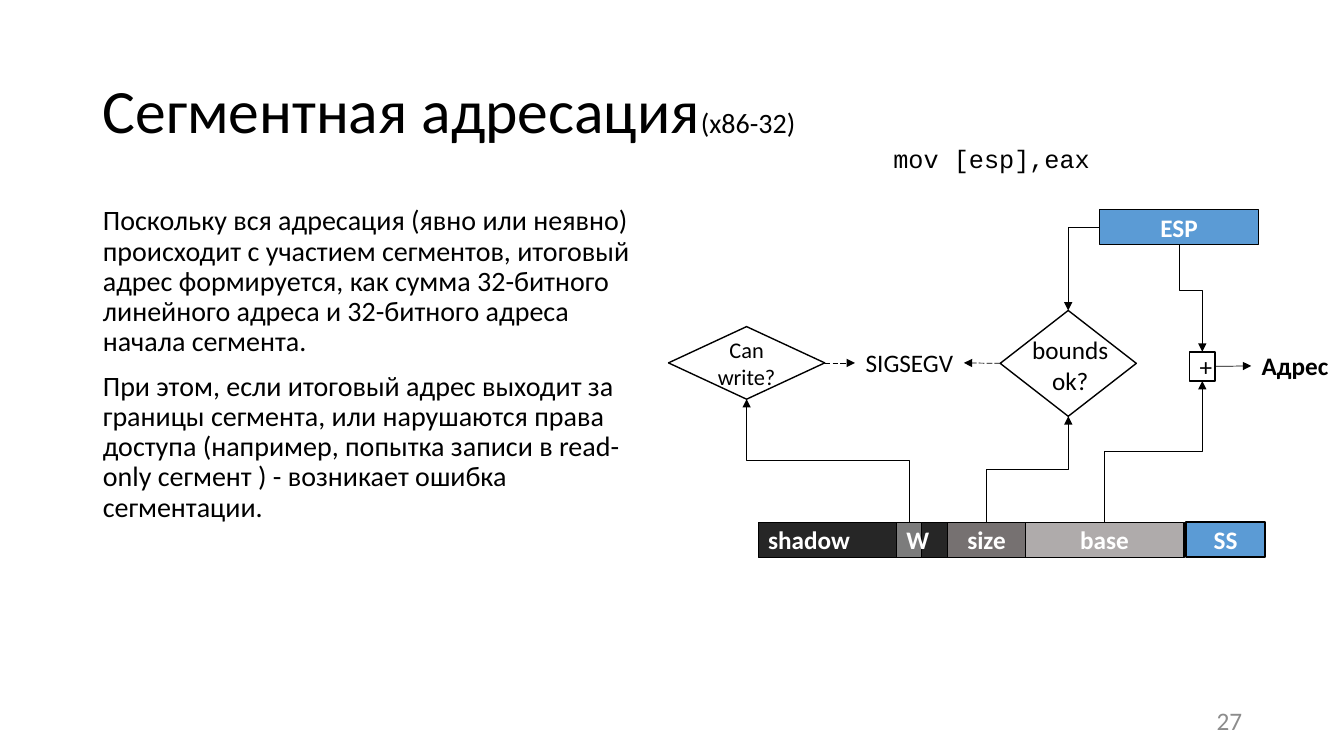
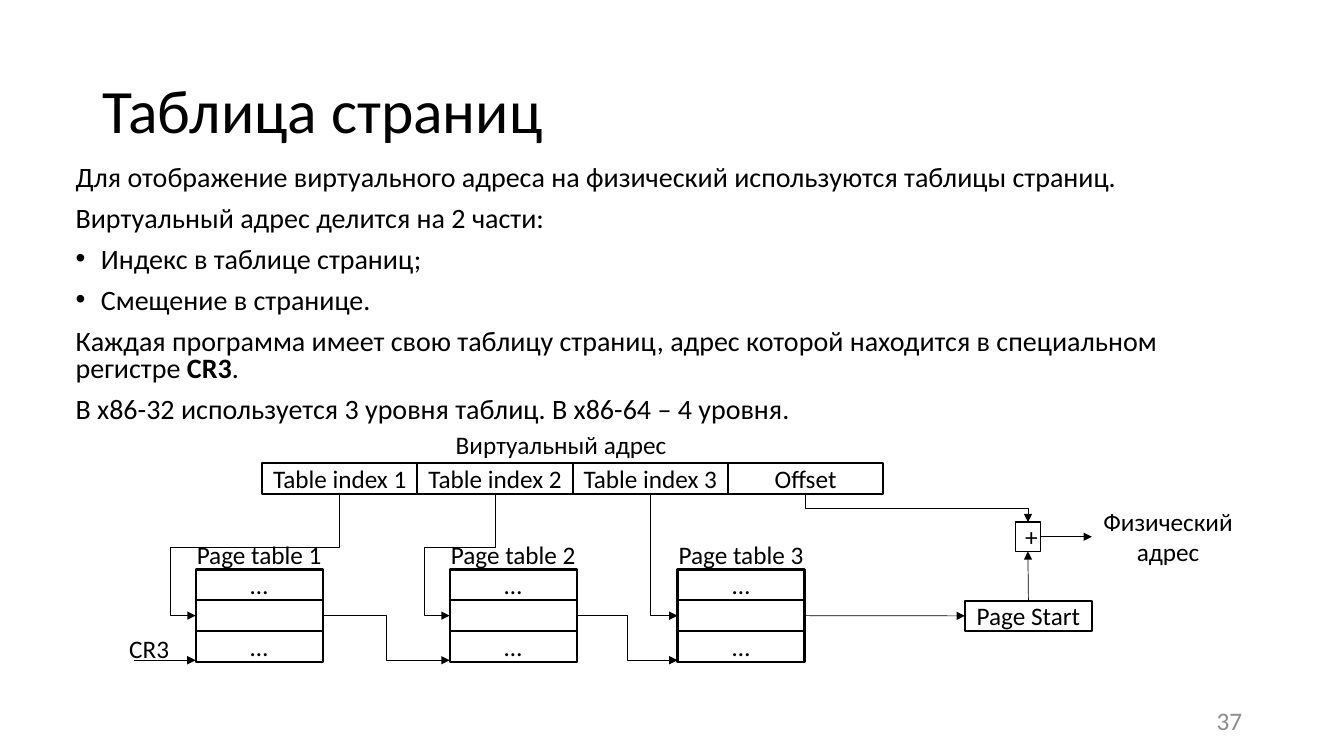
from lxml import etree
from pptx import Presentation
from pptx.dml.color import RGBColor
from pptx.enum.dml import MSO_LINE
from pptx.enum.shapes import MSO_CONNECTOR as Line, MSO_SHAPE as Shape
from pptx.enum.text import MSO_ANCHOR as Anchor, MSO_AUTO_SIZE, PP_ALIGN as Align
from pptx.oxml.ns import qn
from pptx.util import Inches, Pt

BLACK = RGBColor(0x00, 0x00, 0x00)
WHITE = RGBColor(0xFF, 0xFF, 0xFF)
BLUE = RGBColor(0x5B, 0x9B, 0xD5)
CHARCOAL = RGBColor(0x26, 0x26, 0x26)
DARK_GREY = RGBColor(0x76, 0x71, 0x71)
MID_GREY = RGBColor(0x7C, 0x7C, 0x7C)
LIGHT_GREY = RGBColor(0xAF, 0xAB, 0xAB)
NUMBER_GREY = RGBColor(0x8C, 0x8C, 0x8C)
FONT, CODE_FONT = "Calibri", "Courier New"
TOP, LEFT, BOTTOM, RIGHT = range(4)  # connection sites

# Paragraphs: (bulleted, runs), each run (text, bold)
SEGMENTS = {
    "title": [("Сегментная адресация", 44), ("(х86-32)", 20)],
    "title_width": 11.5,
    "number": "27",
    "body_at": (0.92, 2, 5.53, 4.52),
    "spacing": 0.9,
    "body": [
        (False, [("Поскольку вся адресация (явно или неявно) происходит с участием сегментов, "
                  "итоговый адрес формируется, как сумма 32-битного линейного адреса и "
                  "32-битного адреса начала сегмента.", False)]),
        (False, [("При этом, если итоговый адрес выходит за границы сегмента, или нарушаются "
                  "права доступа (например, попытка записи в read-only сегмент ) - возникает "
                  "ошибка сегментации.", False)]),
    ],
}
PAGING = {
    "title": [("Таблица страниц", 44)],
    "title_width": 5.73,
    "number": "37",
    "body_at": (0.65, 1.6, 11.76, 2.82),
    "spacing": 0.8,
    "body": [
        (False, [("Для отображение виртуального адреса на физический используются "
                  "таблицы страниц.", False)]),
        (False, [("Виртуальный адрес делится на 2 части:", False)]),
        (True, [("Индекс в таблице страниц;", False)]),
        (True, [("Смещение в странице.", False)]),
        (False, [("Каждая программа имеет свою таблицу страниц, адрес которой находится "
                  "в специальном регистре ", False), ("CR3", True), (".", False)]),
        (False, [("В х86-32 используется 3 уровня таблиц. В х86-64 – 4 уровня.", False)]),
    ],
}
# Segment register parts: name, left, width, fill, line width, alignment
REGISTER_PARTS = [
    ("SS", 11.76, 0.79, BLUE, 1.5, Align.CENTER),
    ("shadow", 7.52, 4.23, CHARCOAL, 0.75, Align.LEFT),
    ("base", 10.17, 1.57, LIGHT_GREY, 0.75, Align.CENTER),
    ("size", 9.4, 0.77, DARK_GREY, 0.75, Align.CENTER),
    ("W", 8.89, 0.25, MID_GREY, 0.75, Align.CENTER),
]
ADDRESS_PARTS = ["Table index 1", "Table index 2", "Table index 3", "Offset"]
PAGE_TABLE_LEFTS = [1.94, 4.46, 6.72]
PAGE_TABLE_ROWS = ["…", "", "…"]


def add_span(para, text, size=18, color=BLACK, bold=False, font=FONT):
    span = para.add_run()
    span.text = text
    span.font.name, span.font.size, span.font.bold = font, Pt(size), bold
    span.font.color.rgb = color


def place(shape, at):
    shape.left, shape.top, shape.width, shape.height = map(Inches, at)


def set_bullet(para, bulleted):
    props = para._p.get_or_add_pPr()
    indent = Inches(0.25) if bulleted else 0
    props.set("marL", str(indent))
    props.set("indent", str(-indent))
    if bulleted:
        etree.SubElement(props, qn("a:buFont")).set("typeface", "Arial")
        etree.SubElement(props, qn("a:buChar")).set("char", "•")
    else:
        etree.SubElement(props, qn("a:buNone"))


def add_page(deck, content):
    """Add a slide with its title, body text and number."""
    page = deck.slides.add_slide(deck.slide_layouts[1])
    title, body = page.shapes.title, page.placeholders[1]
    place(title, (0.92, 0.4, content["title_width"], 1.45))
    place(body, content["body_at"])
    for holder, anchor in ((title, Anchor.MIDDLE), (body, Anchor.TOP)):
        holder.text_frame.word_wrap = True
        holder.text_frame.auto_size = MSO_AUTO_SIZE.NONE
        holder.text_frame.vertical_anchor = anchor

    heading = title.text_frame.paragraphs[0]
    heading.alignment, heading.line_spacing = Align.LEFT, 0.9
    for text, size in content["title"]:
        add_span(heading, text, size)

    for index, (bulleted, spans) in enumerate(content["body"]):
        frame = body.text_frame
        para = frame.add_paragraph() if index else frame.paragraphs[0]
        set_bullet(para, bulleted)
        para.line_spacing = content["spacing"]
        para.space_before = Pt(10 if index else 0)
        for text, bold in spans:
            add_span(para, text, 20, bold=bold)

    add_label(page, content["number"], (9.42, 6.95, 2.9, 0.4), align=Align.RIGHT,
              anchor=Anchor.MIDDLE, color=NUMBER_GREY)
    return page


def add_label(page, text, at, align=Align.CENTER, anchor=Anchor.TOP, **style):
    label = page.shapes.add_textbox(*map(Inches, at))
    frame = label.text_frame
    frame.word_wrap = True
    frame.margin_left = frame.margin_right = 0
    frame.vertical_anchor = anchor
    for index, line in enumerate(text.split("\n")):
        para = frame.add_paragraph() if index else frame.paragraphs[0]
        para.alignment = align
        add_span(para, line, **style)
    return label


def add_box(page, text, at, fill=None, width=1.5, kind=Shape.RECTANGLE,
            align=Align.CENTER, **style):
    box = page.shapes.add_shape(kind, *map(Inches, at))
    box.shadow.inherit = False
    if fill is None:
        box.fill.background()
    else:
        box.fill.solid()
        box.fill.fore_color.rgb = fill
    box.line.color.rgb = BLACK
    box.line.width = Pt(width)
    if text:
        frame = box.text_frame
        frame.word_wrap = True
        frame.vertical_anchor = Anchor.MIDDLE
        frame.paragraphs[0].alignment = align
        add_span(frame.paragraphs[0], text, **style)
    return box


def site_point(shape, site):
    x = {LEFT: 0, RIGHT: shape.width}.get(site, shape.width // 2)
    y = {TOP: 0, BOTTOM: shape.height}.get(site, shape.height // 2)
    return shape.left + x, shape.top + y


def add_arrow(page, start, end, preset=None, bends=(), dashed=False):
    """Join two ends, each (shape, site) or (x, y) in inches; preset names an elbow."""
    glued = [not isinstance(where[0], (int, float)) for where in (start, end)]
    (x1, y1), (x2, y2) = (site_point(*where) if is_glued else tuple(map(Inches, where))
                          for where, is_glued in zip((start, end), glued))
    arrow = page.shapes.add_connector(Line.ELBOW if preset else Line.STRAIGHT, x1, y1, x2, y2)
    if glued[0]:
        arrow.begin_connect(*start)
    if glued[1]:
        arrow.end_connect(*end)
    arrow.line.color.rgb = BLACK
    arrow.line.width = Pt(0.5)
    if dashed:
        arrow.line.dash_style = MSO_LINE.LONG_DASH
    props = arrow.element.spPr
    etree.SubElement(props.find(qn("a:ln")), qn("a:tailEnd")).set("type", "triangle")
    etree.SubElement(props, qn("a:effectLst"))
    if preset:
        geometry = props.find(qn("a:prstGeom"))
        geometry.set("prst", preset)
        guides = geometry.find(qn("a:avLst"))
        if guides is None:
            guides = etree.SubElement(geometry, qn("a:avLst"))
        for index, bend in enumerate(bends, 1):
            guide = etree.SubElement(guides, qn("a:gd"))
            guide.set("name", f"adj{index}")
            guide.set("fmla", f"val {round(bend * 100000)}")
        if start[1] in (TOP, BOTTOM):
            turn_upright(arrow, x2 - x1, y2 - y1)
    return arrow


def turn_upright(arrow, dx, dy):
    """Rotate an elbow so that it leaves its start vertically."""
    middle_x, middle_y = arrow.left + arrow.width // 2, arrow.top + arrow.height // 2
    arrow.width, arrow.height = abs(dy), abs(dx)
    arrow.left, arrow.top = middle_x - abs(dy) // 2, middle_y - abs(dx) // 2
    frame = arrow.element.spPr.find(qn("a:xfrm"))
    frame.set("rot", str((90 if dx * dy < 0 else 270) * 60000))
    frame.set("flipH", str(int(dx > 0)))
    frame.set("flipV", str(int(dy < 0)))


def draw_segments(page):
    add_label(page, "mov [esp],eax", (8.86, 1.37, 2.53, 0.4), align=Align.LEFT, font=CODE_FONT)
    parts = {}
    for name, left, width, fill, line, align in REGISTER_PARTS:
        parts[name] = add_box(page, name, (left, 5.18, width, 0.35), fill, line,
                              align=align, color=WHITE, bold=True)
    esp = add_box(page, "ESP", (10.91, 2.08, 1.57, 0.35), BLUE, 0.75, color=WHITE, bold=True)
    plus = add_box(page, "+", (11.8, 3.49, 0.25, 0.29), WHITE, 1)
    can_write = add_box(page, "Can write?", (6.63, 3.24, 1.55, 0.72), WHITE, 1,
                        Shape.DIAMOND, size=16)
    bounds = add_box(page, "", (9.92, 3.08, 1.35, 1.05), WHITE, 1, Shape.DIAMOND)
    add_label(page, "bounds\nok?", (10.13, 3.27, 0.97, 0.71))
    fault = add_label(page, "SIGSEGV", (8.48, 3.4, 1.08, 0.4))
    address = add_label(page, "Адрес", (12.41, 3.43, 0.87, 0.4), bold=True)

    add_arrow(page, (can_write, RIGHT), (fault, LEFT), dashed=True)
    add_arrow(page, (bounds, LEFT), (fault, RIGHT), dashed=True)
    add_arrow(page, (plus, RIGHT), (address, LEFT))
    add_arrow(page, (esp, LEFT), (bounds, TOP), "bentConnector2")
    add_arrow(page, (esp, BOTTOM), (plus, TOP), "bentConnector3", [0.43])
    for name, target in (("W", can_write), ("size", bounds), ("base", plus)):
        add_arrow(page, (parts[name], TOP), (target, BOTTOM), "bentConnector3")


def draw_paging(page):
    add_label(page, "Виртуальный адрес", (4.41, 4.21, 2.31, 0.4))
    parts = [add_box(page, name, (2.6 + 1.54 * index, 4.59, 1.54, 0.31))
             for index, name in enumerate(ADDRESS_PARTS)]
    entries = []
    for number, left in enumerate(PAGE_TABLE_LEFTS, 1):
        add_label(page, f"Page table {number}", (left - 0.11, 5.3, 1.48, 0.4))
        rows = [add_box(page, text, (left, 5.65 + 0.305 * row, 1.26, 0.305))
                for row, text in enumerate(PAGE_TABLE_ROWS)]
        entries.append(rows[1])
    page_start = add_box(page, "Page Start", (9.57, 5.96, 1.26, 0.3))
    plus = add_box(page, "+", (10.07, 5.18, 0.25, 0.29), WHITE, 1)
    physical = add_label(page, "Физический адрес", (10.83, 4.97, 1.51, 0.71))
    add_label(page, "CR3", (1.18, 6.23, 0.6, 0.4))

    for part, entry in zip(parts[:2], entries):
        run = site_point(part, BOTTOM)[0] - entry.left
        add_arrow(page, (part, BOTTOM), (entry, LEFT), "bentConnector4",
                  [0.44, 1 + Inches(0.25) / run])
    add_arrow(page, (parts[2], BOTTOM), (entries[2], LEFT), "bentConnector2")
    add_arrow(page, (parts[3], BOTTOM), (plus, TOP), "bentConnector3")
    add_arrow(page, (1.33, 6.55), (PAGE_TABLE_LEFTS[0], 6.55))
    for entry, next_left in zip(entries, PAGE_TABLE_LEFTS[1:]):
        add_arrow(page, (entry, RIGHT), (next_left, 6.55), "bentConnector3")
    add_arrow(page, (entries[2], RIGHT), (page_start, LEFT))
    add_arrow(page, (page_start, TOP), (plus, BOTTOM))
    add_arrow(page, (plus, RIGHT), (physical, LEFT))


def main():
    deck = Presentation()
    deck.slide_width, deck.slide_height = Inches(13.33), Inches(7.5)
    draw_segments(add_page(deck, SEGMENTS))
    draw_paging(add_page(deck, PAGING))
    deck.save("out.pptx")


if __name__ == "__main__":
    main()
